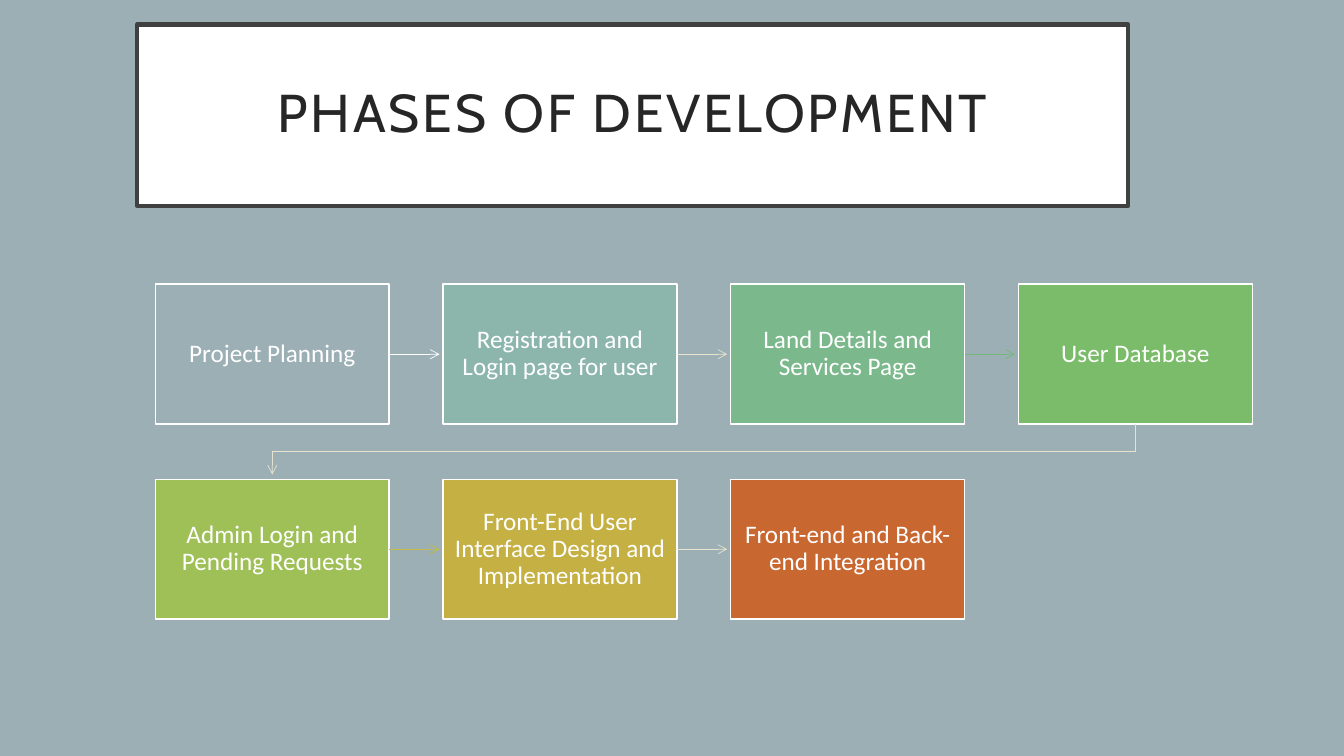
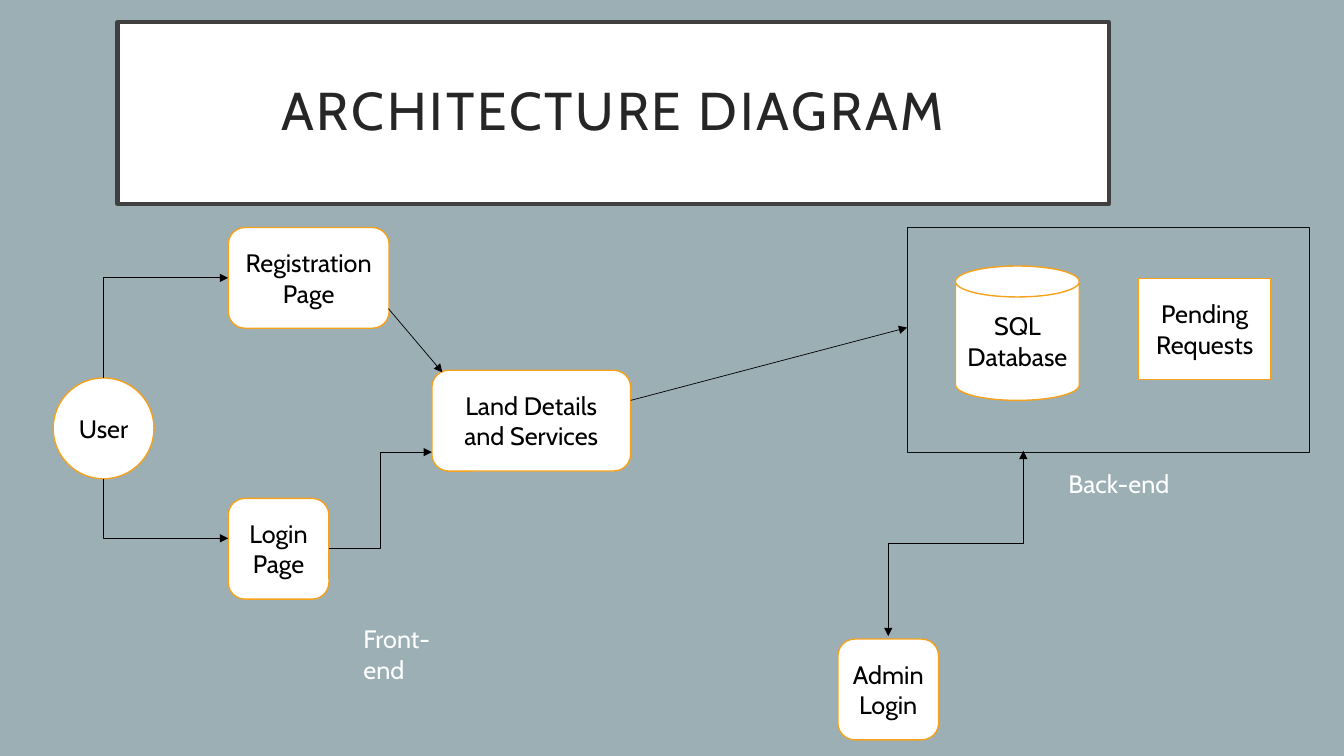
from pptx import Presentation
from pptx.dml.color import RGBColor as RGB
from pptx.enum.shapes import MSO_CONNECTOR as Wire, MSO_SHAPE as Form
from pptx.enum.text import MSO_ANCHOR as Anchor, MSO_AUTO_SIZE as Fit, PP_ALIGN as Align
from pptx.oxml.ns import qn
from pptx.util import Pt
from lxml.etree import SubElement as Sub

HUES = {
    "back": "9BAFB5", "white": "FFFFFF", "black": "000000", "ink": "262626",
    "frame": "404040", "edge": "0D0D0D", "gold": "F6A21D", "cream": "E8E3CE",
    "leaf": "74B97A", "mustard": "C4BC47", "teal": "8CB6AC", "sage": "7BB88C",
    "green": "7ABC69", "lime": "9FC057", "ochre": "C5B043", "rust": "C96731",
}
TITLE = {"font": "Cabin", "size": 38, "hue": "ink", "space": 0.9, "pad": (21.6, 14.4)}
STEP = {"font": "Calibri", "size": 18, "hue": "white", "space": 0.9, "pad": (8, 8.5)}
NODE = {"font": "Cabin", "size": 18, "hue": "black", "space": 1, "pad": (7.2, 3.6)}
LABEL = {**NODE, "hue": "white", "align": Align.LEFT, "anchor": Anchor.TOP}


def assign(item, values):
    for name, value in values.items():
        setattr(item, name, value)


def shade(name):
    return RGB.from_string(HUES[name])


class Deck:
    def __init__(self):
        self.show = Presentation()
        assign(self.show, {"slide_width": Pt(960), "slide_height": Pt(540)})
        fill = self.show.slide_master.background.fill
        fill.solid()
        fill.fore_color.rgb = shade("back")

    def paint(self, shape, fill, line, width):
        if fill:
            shape.fill.solid()
            shape.fill.fore_color.rgb = shade(fill)
        else:
            shape.fill.background()
        shape.line.color.rgb = shade(line)
        shape.line.width = Pt(width)

    def words(self, shape, text, style):
        frame = shape.text_frame
        wide, high = (Pt(n) for n in style["pad"])
        assign(frame, {
            "text": text, "word_wrap": True, "auto_size": Fit.NONE,
            "vertical_anchor": style.get("anchor", Anchor.MIDDLE),
            "margin_left": wide, "margin_right": wide,
            "margin_top": high, "margin_bottom": high,
        })
        para = frame.paragraphs[0]
        assign(para, {
            "alignment": style.get("align", Align.CENTER),
            "line_spacing": style["space"],
        })
        run = para.runs[0]
        assign(run.font, {"name": style["font"], "size": Pt(style["size"])})
        run.font.color.rgb = shade(style["hue"])
        return run

    def start(self, title, left, top):
        self.slide = self.show.slides.add_slide(self.show.slide_layouts[5])
        head = self.slide.shapes.title
        assign(head, {"left": Pt(left), "top": Pt(top), "width": Pt(708), "height": Pt(129.5)})
        self.paint(head, "white", "frame", 3)
        run = self.words(head, title, TITLE)
        run.font._element.set("spc", "200")

    def box(self, form, place, fill, line, width=1, text="", style=NODE):
        shape = self.slide.shapes.add_shape(form, *(Pt(n) for n in place))
        shape.shadow.inherit = False
        self.paint(shape, fill, line, width)
        if text:
            self.words(shape, text, style)

    def label(self, text, *place):
        self.words(self.slide.shapes.add_textbox(*(Pt(n) for n in place)), text, LABEL)

    def wire(self, start, end, hue="black", tip="triangle", both=False,
             kind=Wire.STRAIGHT, turn=False, form=None, bend=None):
        points = [Pt(n) for n in (*start, *end)]
        line = self.slide.shapes.add_connector(kind, *points)
        line.line.color.rgb = shade(hue)
        line.line.width = Pt(0.5)
        props = line._element.spPr
        if turn:
            self.turn(line, points)
        shape = props.find(qn("a:prstGeom"))
        if form:
            shape.set("prst", form)
        if bend is not None:
            guide = Sub(shape.find(qn("a:avLst")), qn("a:gd"))
            guide.set("name", "adj1")
            guide.set("fmla", f"val {bend * 1000}")
        for mark in ("a:headEnd", "a:tailEnd")[0 if both else 1:]:
            Sub(props.find(qn("a:ln")), qn(mark)).set("type", tip)
        Sub(props, qn("a:effectLst"))

    def turn(self, line, points):
        x1, y1, x2, y2 = points
        wide, high = abs(y2 - y1), abs(x2 - x1)
        assign(line, {
            "left": (x1 + x2 - wide) // 2, "top": (y1 + y2 - high) // 2,
            "width": wide, "height": high,
        })
        frame = line._element.spPr.find(qn("a:xfrm"))
        frame.set("rot", "5400000")
        frame.set("flipH", str(int(y2 < y1)))
        frame.set("flipV", str(int(x2 > x1)))


def phases(deck):
    deck.start("PHASES OF DEVELOPMENT", 98, 17.5)
    steps = (
        ("Project Planning", "back", "white"),
        ("Registration and Login page for user", "teal", "cream"),
        ("Land Details and Services Page", "sage", "leaf"),
        ("User Database", "green", "cream"),
        ("Admin Login and Pending Requests", "lime", "mustard"),
        ("Front-End User Interface Design and Implementation", "ochre", "cream"),
        ("Front-end and Back-end Integration", "rust", None),
    )
    wide, high, cols = 167, 100, 4
    for i, (text, fill, hue) in enumerate(steps):
        row, col = divmod(i, cols)
        left, top = 111 + col * 205.5, 203 + row * 139.3
        deck.box(Form.RECTANGLE, (left, top, wide, high), fill, "white", 1, text, STEP)
        if not hue:
            continue
        if col < cols - 1:
            mid = top + high / 2
            deck.wire((left + wide, mid), (left + 203, mid), hue, "arrow")
        else:
            deck.wire((left + wide / 2, top + high), (111 + wide / 2, top + 136),
                      hue, "arrow", kind=Wire.ELBOW, turn=True, bend=54)


def design(deck):
    deck.start("ARCHITECTURE DIAGRAM", 84, 16)
    deck.box(Form.RECTANGLE, (648, 162.5, 287.5, 161), None, "edge", 0.5)
    nodes = (
        ("User", Form.OVAL, (38, 270, 72, 72)),
        ("Login Page", Form.ROUNDED_RECTANGLE, (163, 356, 72, 72)),
        ("Registration Page", Form.ROUNDED_RECTANGLE, (163, 162.5, 115, 72)),
        ("Land Details and Services", Form.ROUNDED_RECTANGLE, (308.5, 264.5, 142, 72)),
        ("SQL Database", Form.CAN, (682.5, 190, 88.5, 96)),
        ("Admin Login", Form.ROUNDED_RECTANGLE, (598.5, 456.5, 72, 72)),
        ("Pending Requests", Form.RECTANGLE, (813, 199, 95, 72)),
    )
    for text, form, place in nodes:
        deck.box(form, place, "white", "gold", text=text)
    elbow = {"kind": Wire.ELBOW}
    deck.wire((74, 342), (163, 384.5), bend=0, **elbow)
    deck.wire((74, 270), (163, 198.5), turn=True, form="bentConnector2", **elbow)
    deck.wire((235, 392), (308.5, 323), **elbow)
    deck.wire((634.5, 454.5), (731, 322), turn=True, both=True, **elbow)
    deck.wire((277.5, 220.5), (316, 266))
    deck.wire((450.5, 286), (648, 234))
    deck.label("Back-end", 756, 331, 114, 29)
    deck.label("Front-end", 252.5, 442, 72, 51)


def main():
    deck = Deck()
    phases(deck)
    design(deck)
    deck.show.save("out.pptx")


if __name__ == "__main__":
    main()
